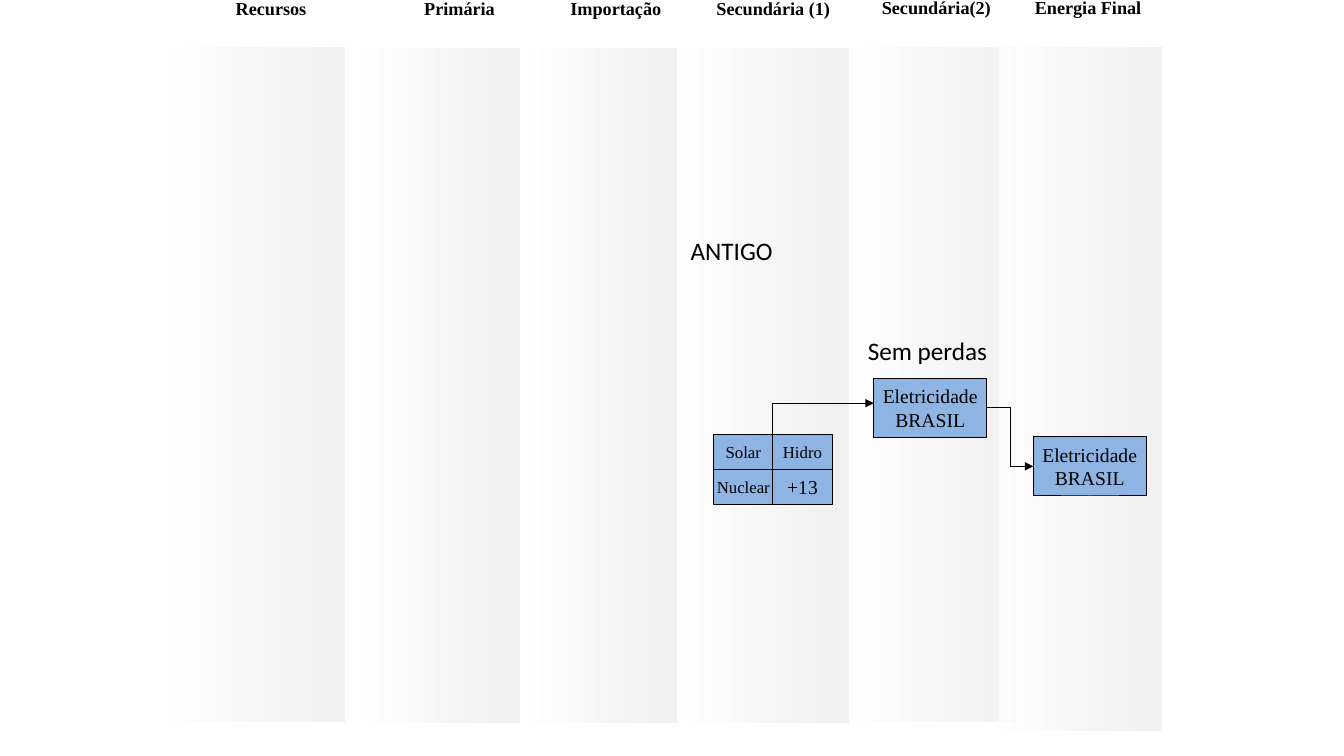
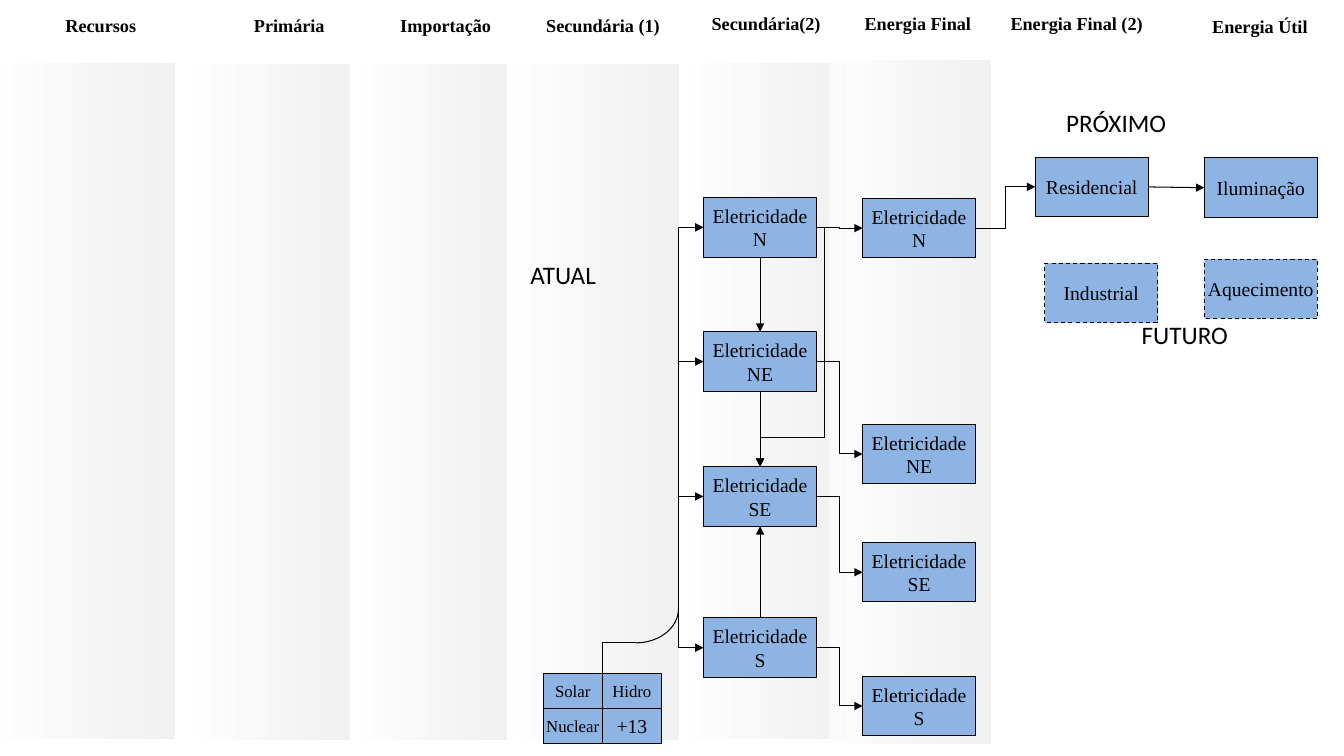
from lxml.etree import SubElement
from pptx import Presentation
from pptx.dml.color import RGBColor
from pptx.enum.dml import MSO_LINE
from pptx.enum.shapes import MSO_CONNECTOR, MSO_SHAPE
from pptx.enum.text import MSO_ANCHOR, PP_ALIGN
from pptx.oxml.ns import qn
from pptx.util import Cm, Pt

BLACK, WHITE, GREY, BLUE = "000000", "FFFFFF", "EAEAEA", "8EB4E3"
SERIF, SANS = "Times New Roman", "Calibri"
BOX_WIDTH, BOX_HEIGHT = 2.85, 1.5
CELL_WIDTH, CELL_HEIGHT = 1.49, 0.88
TOP, LEFT, BOTTOM, RIGHT = range(4)

BANDS = [(0, 0, 4.45), (5, 0.03, 3.86), (9.09, 0.03, 3.73),
         (13.06, 0.03, 4.09), (17.35, 0, 4.01)]
HEADINGS = [("Recursos", 1.04, -1.37, 3.1), ("Primária", 5.79, -1.37, 3.1),
            ("Importação", 9.73, -1.37, 3.1), ("Secundária (1)", 13.34, -1.37, 3.81),
            ("Secundária(2)", 17.35, -1.42, 4.01), ("Energia Final", 21.39, -1.42, 3.58)]
USE_HEADINGS = [("Energia Final (2)", 25.07, -1.42, 4.22),
                ("Energia Útil", 29.69, -1.35, 4.22)]


def color(value):
    """Turn a hex string into a colour."""
    return RGBColor.from_string(value)


def lengths(*values):
    """Turn centimetre values into slide lengths."""
    return [Cm(value) for value in values]


def write(frame, lines, size, font, align, bold=False):
    """Write one paragraph per line in a single style."""
    for index, line in enumerate(lines):
        para = frame.paragraphs[0] if index == 0 else frame.add_paragraph()
        para.alignment = align
        span = para.add_run()
        span.text = line
        span.font.size, span.font.name, span.font.bold = Pt(size), font, bold
        span.font.color.rgb = color(BLACK)


def outline(shape):
    """Give a shape or connector the thin black line."""
    shape.line.color.rgb = color(BLACK)
    shape.line.width = Pt(0.75)


def add_band(page, left, top, width, height):
    """Draw a translucent column fading from white to grey."""
    band = page.shapes.add_shape(MSO_SHAPE.RECTANGLE, *lengths(left, top, width, height))
    band.shadow.inherit = False
    band.line.fill.background()
    band.fill.gradient()
    band.fill.gradient_angle = 0
    for stop, shade in zip(band.fill.gradient_stops, (WHITE, GREY)):
        stop.color.rgb = color(shade)
    for node, opacity in zip(band.element.spPr.iter(qn("a:srgbClr")), (80, 60)):
        SubElement(node, qn("a:alpha")).set("val", str(opacity * 1000))


def add_columns(page, left, top, final_top, headings):
    """Draw the energy chain columns and their headings."""
    for offset, drop, width in BANDS:
        add_band(page, left + offset, top + drop, width, 17)
    add_band(page, left + 20.96, final_top, 4.06, 17.22)
    for text, offset, drop, width in headings:
        heading = page.shapes.add_textbox(*lengths(left + offset, top + drop, width, 0.76))
        heading.text_frame.word_wrap = True
        write(heading.text_frame, [text], 13, SERIF, PP_ALIGN.CENTER, bold=True)


def add_box(page, left, top, lines, width=BOX_WIDTH, height=BOX_HEIGHT, size=14, dashed=False):
    """Draw a blue box with centred lines of text."""
    box = page.shapes.add_shape(MSO_SHAPE.RECTANGLE, *lengths(left, top, width, height))
    box.shadow.inherit = False
    box.fill.solid()
    box.fill.fore_color.rgb = color(BLUE)
    outline(box)
    if dashed:
        box.line.dash_style = MSO_LINE.DASH
    box.text_frame.word_wrap = False
    box.text_frame.vertical_anchor = MSO_ANCHOR.MIDDLE
    write(box.text_frame, lines, size, SERIF, PP_ALIGN.CENTER)
    return box


def add_sources(page, left, top):
    """Draw the two by two block of power sources."""
    for index, source in enumerate(("Solar", "Hidro", "Nuclear", "+13")):
        row, column = divmod(index, 2)
        add_box(page, left + column * CELL_WIDTH, top + row * CELL_HEIGHT, [source],
                CELL_WIDTH, CELL_HEIGHT, 14 if source == "+13" else 12)


def add_label(page, left, top, width, text):
    """Place a free label."""
    label = page.shapes.add_textbox(*lengths(left, top, width, 1.02))
    label.text_frame.word_wrap = False
    write(label.text_frame, [text], 18, SANS, PP_ALIGN.LEFT)


def add_title(page, left, top, width, text):
    """Move the title placeholder to the front and fill it."""
    title = page.shapes.title
    title.left, title.top, title.width, title.height = lengths(left, top, width, 1.02)
    title.text_frame.word_wrap = False
    title.text_frame.vertical_anchor = MSO_ANCHOR.TOP
    write(title.text_frame, [text], 18, SANS, PP_ALIGN.LEFT)
    title.element.getparent().append(title.element)


def add_line(page, start, end, kind=MSO_CONNECTOR.STRAIGHT, arrow=True):
    """Draw a connector between two points."""
    connector = page.shapes.add_connector(kind, *lengths(*start, *end))
    outline(connector)
    if arrow:
        SubElement(connector.element.spPr.find(qn("a:ln")), qn("a:tailEnd")).set("type", "triangle")
    SubElement(connector.element.spPr, qn("a:effectLst"))
    return connector


def link(page, source, target, sites=(RIGHT, LEFT), kind=MSO_CONNECTOR.ELBOW):
    """Join two boxes with an arrow glued to their sides."""
    connector = add_line(page, (0, 0), (1, 1), kind)
    connector.begin_connect(source, sites[0])
    connector.end_connect(target, sites[1])


def add_route(page, points, arrow=True):
    """Draw straight segments through the points, with an arrow on the last."""
    for index in range(len(points) - 1):
        last = index == len(points) - 2
        add_line(page, points[index], points[index + 1], arrow=arrow and last)


def add_regions(page, left, top):
    """Draw the regional electricity network, fed by a shared bus."""
    middle, bus, bypass = BOX_HEIGHT / 2, left - 0.63, left + 3.05
    center = left + BOX_WIDTH / 2
    drops = (0, 3.38, 6.78, 10.59)
    secondary = []
    rows = zip(("N", "NE", "SE", "S"), drops, (0.02, 5.71, 8.69, 12.06))
    for region, drop, final_drop in rows:
        lines = ["Eletricidade", region]
        box = add_box(page, left, top + drop, lines)
        final = add_box(page, left + 4.01, top + final_drop, lines)
        link(page, box, final)
        level = top + drop + middle
        add_line(page, (bus, level), (left, level)).end_connect(box, LEFT)
        secondary.append((box, final))
    add_line(page, (bus, top + middle), (bus, top + drops[-1] + middle), arrow=False)
    north, northeast, southeast, south = [pair[0] for pair in secondary]
    for source, target, sites in ((north, northeast, (BOTTOM, TOP)),
                                  (northeast, southeast, (BOTTOM, TOP)),
                                  (south, southeast, (TOP, BOTTOM))):
        link(page, source, target, sites, MSO_CONNECTOR.STRAIGHT)
    add_route(page, [(left + BOX_WIDTH, top + middle), (bypass, top + middle),
                     (bypass, top + 6.04), (center, top + 6.04), (center, top + 6.78)])
    return secondary[0][1]


def add_feed(page, left, top):
    """Draw the sources and the curve that leads to the bus."""
    stem, bend, level = left + CELL_WIDTH, left + 2.34, top - 0.77
    add_route(page, [(stem, top), (stem, level), (bend, level)], arrow=False)
    curve = page.shapes.add_shape(
        MSO_SHAPE.ARC, *lengths(bend - 1.07, level - 1.72, 2.14, 1.72))
    curve.shadow.inherit = False
    curve.adjustments[0], curve.adjustments[1] = 0, 54
    curve.fill.background()
    outline(curve)
    add_sources(page, left, top)


def add_uses(page, left, top, supply):
    """Draw the present and future end uses."""
    home = add_box(page, left, top, ["Residencial"])
    light = add_box(page, left + 4.26, top + 0.02, ["Iluminação"])
    add_box(page, left + 0.24, top + 2.67, ["Industrial"], dashed=True)
    add_box(page, left + 4.26, top + 2.57, ["Aquecimento"], dashed=True)
    link(page, supply, home)
    link(page, home, light, kind=MSO_CONNECTOR.STRAIGHT)
    add_label(page, left + 0.53, top - 1.37, 3.05, "PRÓXIMO")
    add_label(page, left + 2.43, top + 3.96, 2.69, "FUTURO")


def add_national(page, left, top):
    """Draw the single national electricity chain."""
    lines = ["Eletricidade", "BRASIL"]
    stem, level = left + CELL_WIDTH, top - 0.79
    secondary = add_box(page, left + 4.03, top - 1.42, lines)
    final = add_box(page, left + 8.05, top + 0.05, lines)
    link(page, secondary, final)
    add_sources(page, left, top)
    add_route(page, [(stem, top), (stem, level), (left + 4.03, level)])
    add_label(page, left + 3.63, top - 2.62, 3.56, "Sem perdas")


def build_old(page):
    """Build the former national model."""
    add_columns(page, 4.24, 1.19, 1.19, HEADINGS)
    add_national(page, 17.99, 10.95)
    add_title(page, 17.15, 5.79, 2.59, "ANTIGO")


def build_current(page):
    """Build the current regional model."""
    add_columns(page, -0.05, 1.6, 1.52, HEADINGS + USE_HEADINGS)
    supply = add_regions(page, 17.73, 4.98)
    add_feed(page, 13.69, 16.97)
    add_uses(page, 26.09, 3.96, supply)
    add_title(page, 13.11, 6.4, 2.18, "ATUAL")


def main():
    """Build and save the deck."""
    deck = Presentation()
    deck.slide_width, deck.slide_height = lengths(33.87, 19.05)
    for build in (build_old, build_current):
        build(deck.slides.add_slide(deck.slide_layouts[5]))
    deck.save("out.pptx")


if __name__ == "__main__":
    main()
